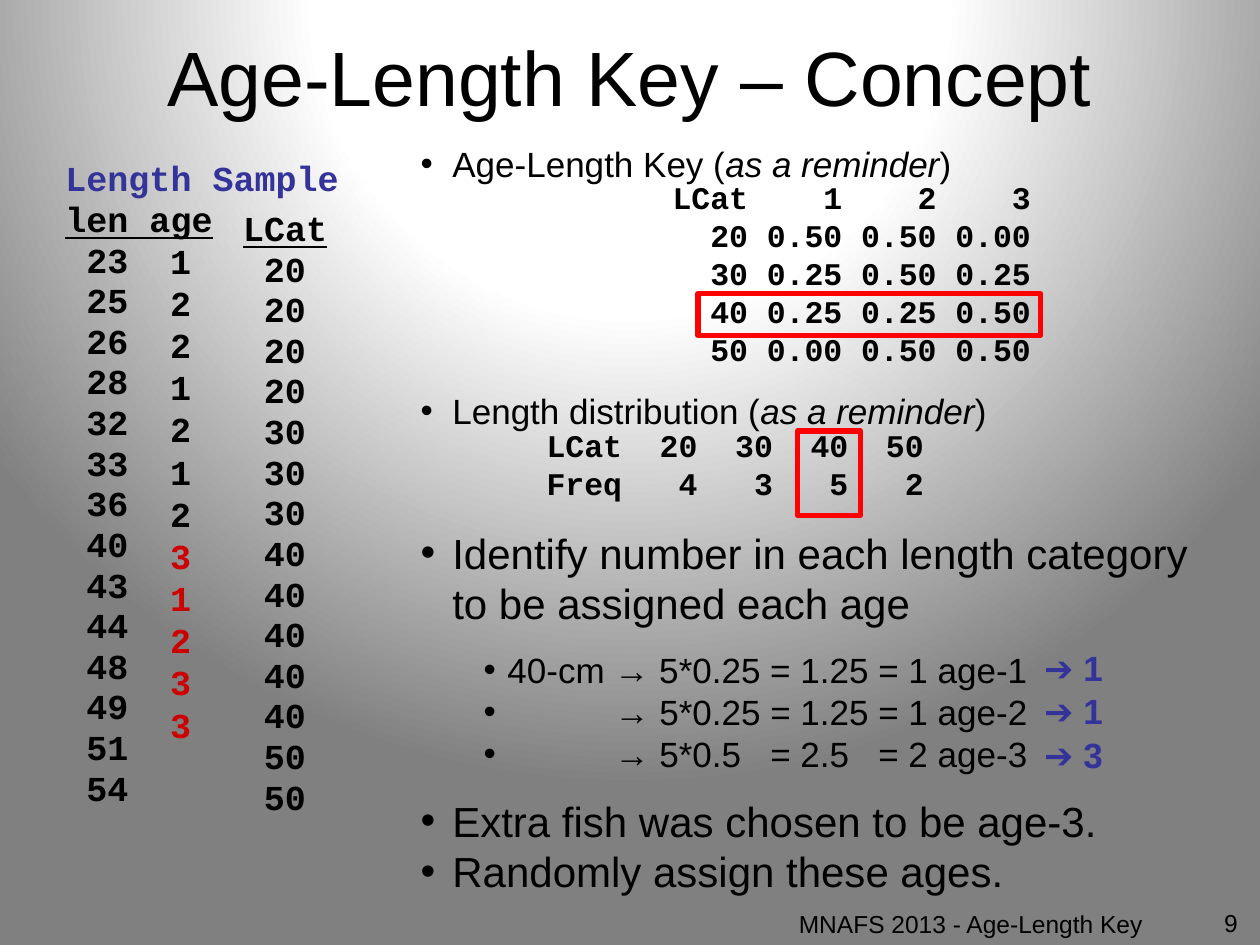
import pptx
import pptx.util
import pptx.dml.color
import pptx.enum.shapes
import pptx.enum.text
import pptx.oxml
import pptx.oxml.ns
from lxml import etree

Cm, Pt = pptx.util.Cm, pptx.util.Pt
qn = pptx.oxml.ns.qn
ALIGN = pptx.enum.text.PP_ALIGN
SANS, MONO = "Arial", "Courier New"
NO_STYLE = "{2D5ABB26-0587-4C30-8999-92F81FD0307C}"
COLORS = {"text": "000000", "accent": "333399", "assigned": "CC0000",
          "frame": "FF0000", "light": "FFFFFF", "dark": "808080"}


class Deck:
    """Holds the style and the current slide."""

    def __init__(self, prs):
        self.s = prs.slides.add_slide(prs.slide_layouts[6])

    def rgb(self, name):
        return pptx.dml.color.RGBColor.from_string(COLORS[name])

    def background(self):
        bg = pptx.oxml.parse_xml(
            f'<p:bg {pptx.oxml.ns.nsdecls("p", "a")}><p:bgPr><a:gradFill><a:gsLst>'
            f'<a:gs pos="0"><a:srgbClr val="{COLORS["light"]}"/></a:gs>'
            f'<a:gs pos="40000"><a:srgbClr val="{COLORS["light"]}"/></a:gs>'
            f'<a:gs pos="100000"><a:srgbClr val="{COLORS["dark"]}"/></a:gs></a:gsLst>'
            '<a:path path="circle"><a:fillToRect l="50000" t="-80000" r="50000" b="180000"/>'
            '</a:path></a:gradFill><a:effectLst/></p:bgPr></p:bg>')
        self.s.element.cSld.insert(0, bg)

    def box(self, x, y, w, h, wrap=True, middle=False):
        tf = self.s.shapes.add_textbox(Cm(x), Cm(y), Cm(w), Cm(h)).text_frame
        tf.word_wrap = wrap
        if middle:
            tf.vertical_anchor = pptx.enum.text.MSO_ANCHOR.MIDDLE
        return tf

    def para(self, tf, runs, size, font=SANS, color="text", bold=False, underline=False,
             align=ALIGN.LEFT, before=0, spacing=None, left=0, hang=0):
        """Runs at odd places are italic; a hanging indent brings a bullet."""
        p = tf.paragraphs[0]
        if p.runs:
            p = tf.add_paragraph()
        p.alignment, p.space_before, p.line_spacing = align, Pt(before), spacing
        pPr = p._p.get_or_add_pPr()
        pPr.set("marL", str(Cm(left)))
        pPr.set("indent", str(-Cm(hang)))
        if hang:
            etree.SubElement(pPr, qn("a:buFont")).set("typeface", SANS)
            etree.SubElement(pPr, qn("a:buChar")).set("char", "•")
        for i, text in enumerate(runs):
            r = p.add_run()
            r.text = text
            r.font.name, r.font.size = font, Pt(size)
            r.font.bold, r.font.underline = bold, underline
            r.font.italic = i % 2 == 1
            r.font.color.rgb = self.rgb(color)

    def label(self, x, y, w, h, text, size, wrap=True, middle=False, **style):
        self.para(self.box(x, y, w, h, wrap, middle), [text], size, **style)

    def column(self, tf, head, values):
        style = dict(size=20, font=MONO, bold=True, before=4, spacing=0.8)
        self.para(tf, [head], underline=True, **style)
        for value in values:
            self.para(tf, [str(value)], left=0.42, **style)

    def table(self, x, y, rows, first, step, height=0.76):
        """A plain table of right-aligned figures, without fill or lines."""
        rows = [row.split() for row in rows]
        n = len(rows[0])
        table = self.s.shapes.add_table(len(rows), n, Cm(x), Cm(y),
                                        Cm(first + step * (n - 1)),
                                        Cm(height * len(rows))).table
        table.first_row = table.horz_banding = False
        table._tbl.tblPr.find(qn("a:tableStyleId")).text = NO_STYLE
        for j in range(n):
            table.columns[j].width = Cm(step if j else first)
        for i, row in enumerate(rows):
            table.rows[i].height = Cm(height)
            for j, text in enumerate(row):
                cell = table.cell(i, j)
                cell.fill.background()
                cell.margin_left = cell.margin_right = 0
                cell.margin_top = cell.margin_bottom = 0
                self.para(cell.text_frame, [text], 18, font=MONO, bold=True,
                          align=ALIGN.RIGHT)

    def frame(self, x, y, w, h):
        sp = self.s.shapes.add_shape(pptx.enum.shapes.MSO_SHAPE.RECTANGLE,
                                     Cm(x), Cm(y), Cm(w), Cm(h))
        sp.shadow.inherit = False
        sp.fill.background()
        sp.line.color.rgb = self.rgb("frame")
        sp.line.width = Pt(3)


prs = pptx.Presentation()
prs.slide_width, prs.slide_height = Cm(25.4), Cm(19.05)
deck = Deck(prs)
deck.background()

# Title and footer
deck.label(0.18, 0.33, 25.04, 2.41, "Age-Length Key – Concept", 44,
           middle=True, align=ALIGN.CENTER)
deck.label(15.24, 18.21, 8.05, 0.64, "MNAFS 2013 - Age-Length Key", 14, align=ALIGN.RIGHT)
deck.label(23.5, 18.19, 1.7, 0.86, "9", 14, align=ALIGN.RIGHT)

# Length sample
lengths = [23, 25, 26, 28, 32, 33, 36, 40, 43, 44, 48, 49, 51, 54]
tf = deck.box(1.07, 3.2, 6.78, 13.97)
deck.para(tf, ["Length Sample"], 20, font=MONO, color="accent", bold=True,
          before=4, spacing=0.8)
deck.column(tf, "len age", lengths)
tf = deck.box(4.65, 4.2, 2.34, 12.98)
deck.column(tf, "LCat", [n // 10 * 10 for n in lengths])

# Ages, with those of the 40-cm category marked
for i, age in enumerate([1, 2, 2, 1, 2, 1, 2, 3, 1, 2, 3, 3]):
    deck.label(3.18, 4.7 + 0.85 * i, 0.94, 1.09, str(age), 20, wrap=False, font=MONO,
               bold=True, color="assigned" if lengths[i] >= 40 else "text")

# Headings and steps, with room left for the two tables
bullet = dict(left=0.64, hang=0.64)
tf = deck.box(8.23, 2.74, 16.54, 15.44)
deck.para(tf, ["Age-Length Key (", "as a reminder", ")"], 20, **bullet)
deck.para(tf, ["Length distribution (", "as a reminder", ")"], 20, before=117.5, **bullet)
deck.para(tf, ["Identify number in each length category to be assigned each age"], 24,
          before=54.5, **bullet)
deck.para(tf, ["40-cm → 5*0.25 = 1.25 = 1 age-1"], 20, before=11.5, left=1.75, hang=0.48)
for step in ["→ 5*0.25 = 1.25 = 1 age-2", "→ 5*0.5\u2007 = 2.5\u2007 = 2 age-3"]:
    deck.para(tf, [step], 20, left=3.91, hang=2.64)
deck.para(tf, ["Extra fish was chosen to be age-3."], 24, before=12, **bullet)
deck.para(tf, ["Randomly assign these ages."], 24, **bullet)

# Age-length key and length distribution
deck.table(12.58, 3.7, ["LCat 1 2 3", "20 0.50 0.50 0.00", "30 0.25 0.50 0.25",
                        "40 0.25 0.25 0.50", "50 0.00 0.50 0.50"], 2.5, 1.9)
deck.table(10.04, 8.7, ["LCat 20 30 40 50", "Freq 4 3 5 2"], 2.5, 1.52)

# Final counts per age
for i, count in enumerate([1, 1, 3]):
    deck.label(20.8, 12.9 + 0.88 * i, 1.85, 1.09, f"➔ {count}", 20, wrap=False,
               color="accent", bold=True)

# Frames around the 40-cm figures
deck.frame(14.07, 5.92, 6.91, 0.84)
deck.frame(16.08, 8.69, 1.27, 1.7)

prs.save("out.pptx")
